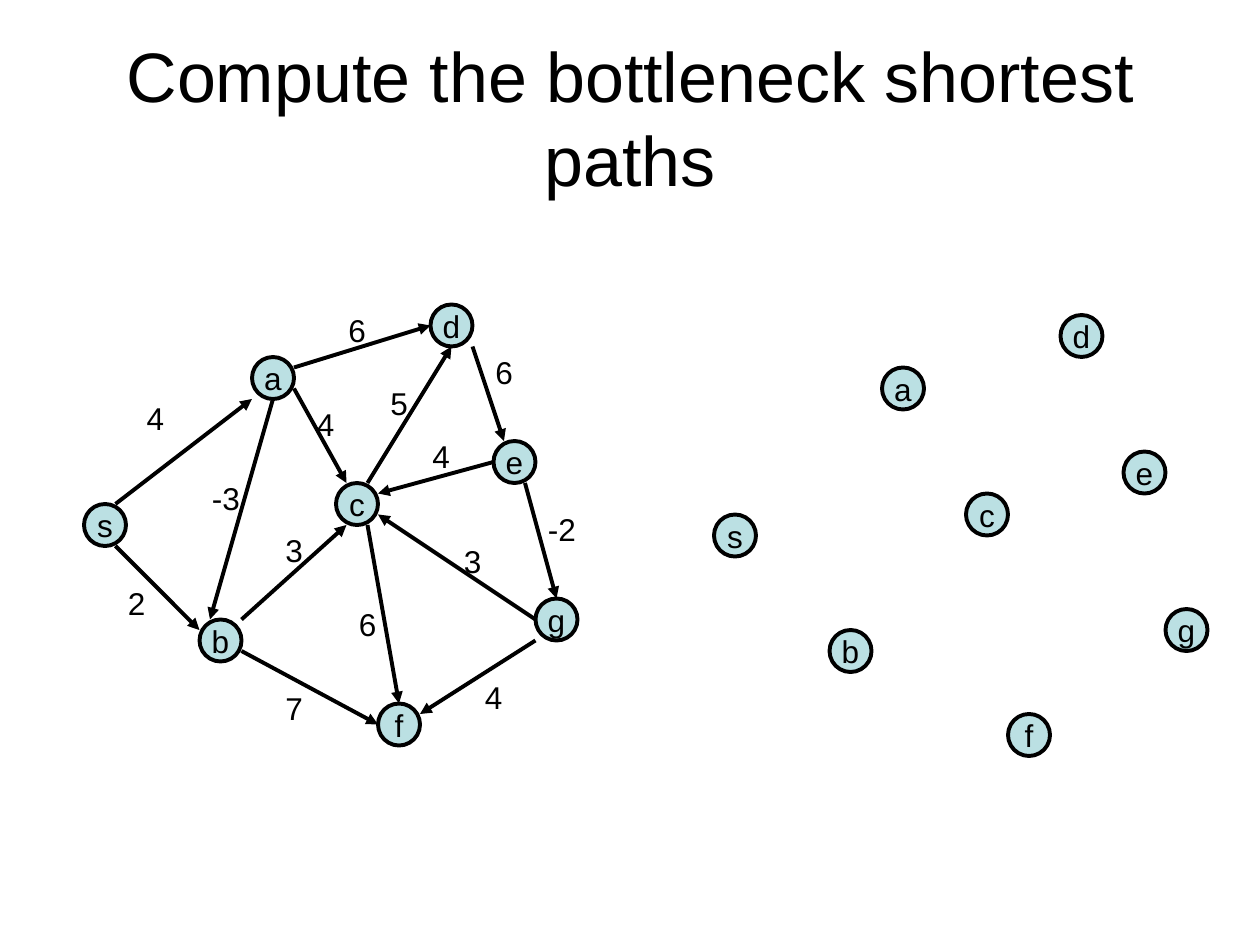
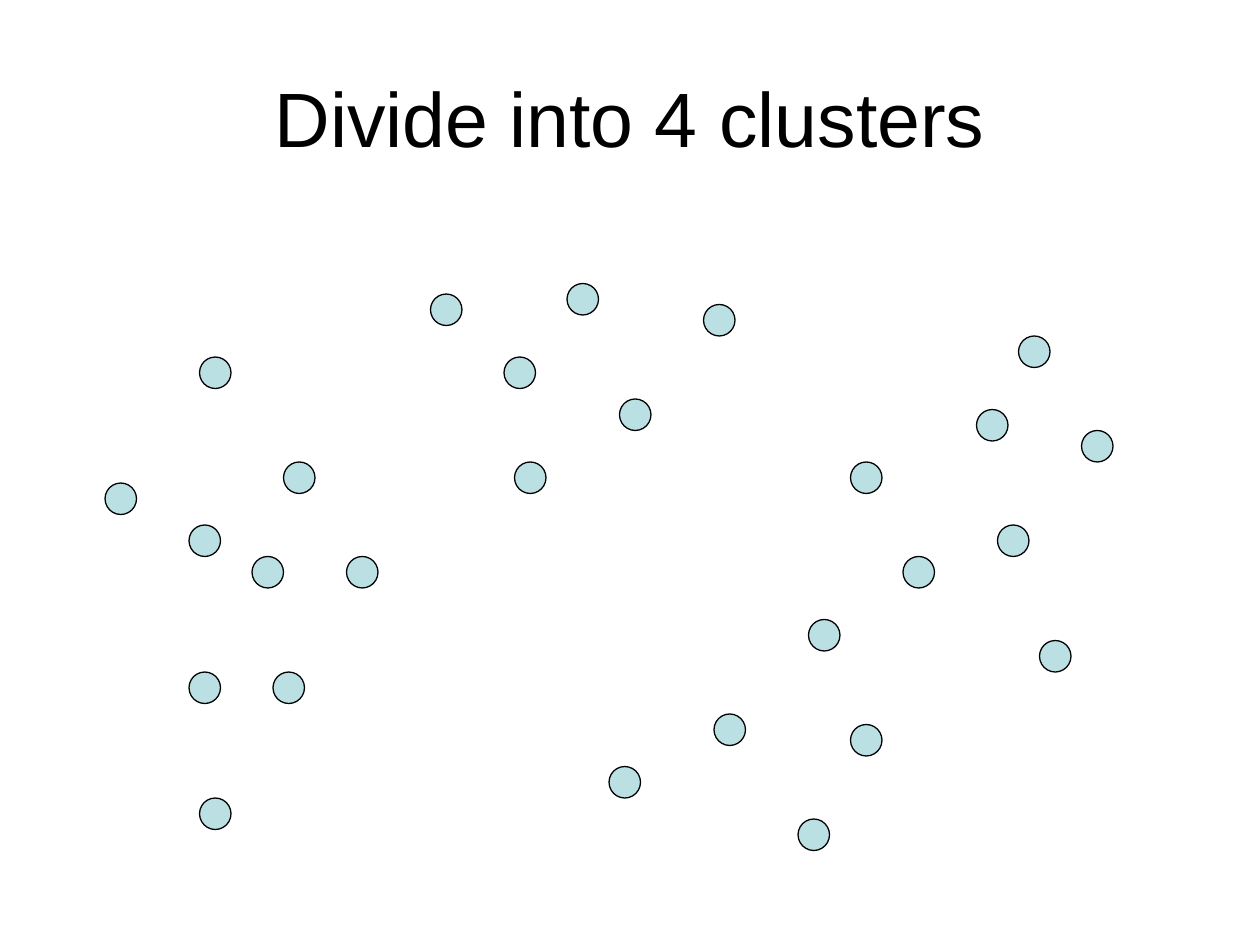
"""Build two exercise slides: bottleneck shortest paths and clustering."""
from lxml import etree
from pptx import Presentation
from pptx.dml.color import RGBColor
from pptx.enum.shapes import MSO_CONNECTOR, MSO_SHAPE
from pptx.enum.text import MSO_ANCHOR, PP_ALIGN
from pptx.oxml.ns import qn
from pptx.util import Cm, Pt

OVAL = MSO_SHAPE.OVAL
STRAIGHT = MSO_CONNECTOR.STRAIGHT
CENTER, LEFT = PP_ALIGN.CENTER, PP_ALIGN.LEFT
MIDDLE, TOP = MSO_ANCHOR.MIDDLE, MSO_ANCHOR.TOP

COLORS = {"ink": "000000", "node": "BBE0E3"}
FONT = "Arial"
WIDTH, HEIGHT = 120, 90
NODE_SIZE, DOT_SIZE = 4, 3
COPY_SHIFT = (60, 1)
TITLE_BOX = (6, 3.6, 108, 15)

GRAPH_TITLE = ("Compute the bottleneck shortest paths", 40)
NODES = {
    "a": (24, 34), "b": (19, 59), "c": (32, 46), "s": (8, 48),
    "e": (47, 42), "g": (51, 57), "f": (36, 67), "d": (41, 29),
}
# Each edge: start node and offset, end node and offset, weight, label corner.
EDGES = [
    ("s", (3, 0), "a", (0, 4), "4", (12.8, 37.4)),
    ("a", (4, 1), "d", (0, 2), "6", (32, 29)),
    ("a", (4, 3), "c", (1, 0), "4", (29, 38)),
    ("b", (4, 0), "c", (1, 4), "3", (26, 50)),
    ("s", (3, 4), "b", (0, 1), "2", (11, 55)),
    ("a", (2, 4), "b", (1, 0), "-3", (19, 45)),
    ("b", (4, 3), "f", (0, 2), "7", (26, 65)),
    ("c", (3, 4), "f", (2, 0), "6", (33, 57)),
    ("c", (3, 0), "d", (2, 4), "5", (36, 36)),
    ("e", (0, 2), "c", (4, 1), "4", (40, 41)),
    ("d", (4, 4), "e", (1, 0), "6", (46, 33)),
    ("e", (3, 4), "g", (2, 0), "-2", (51, 48)),
    ("g", (0, 2), "c", (4, 3), "3", (43, 51)),
    ("g", (0, 4), "f", (4, 1), "4", (45, 64)),
]

CLUSTER_TITLE = ("Divide into 4 clusters", 44)
DOTS = [
    (18, 50), (27, 44), (33, 53), (54, 27), (67, 29), (97, 32), (68, 68),
    (81, 44), (58, 73), (19, 76), (10, 46), (86, 53), (49, 44), (77, 59),
    (18, 64), (19, 34), (59, 38), (103, 41), (99, 61), (48, 34), (81, 69),
    (24, 53), (26, 64), (41, 28), (76, 78), (93, 39), (95, 50),
]


def grid(*units):
    return [Cm(unit * 25.4 / WIDTH) for unit in units]


def shift(point, offset):
    return point[0] + offset[0], point[1] + offset[1]


def color(name):
    return RGBColor.from_string(COLORS[name])


def apply(target, values):
    for name, value in values.items():
        setattr(target, name, value)


def write(shape, text, size=18, align=CENTER, anchor=MIDDLE, wrap=False):
    frame = shape.text_frame
    apply(frame, {"word_wrap": wrap, "vertical_anchor": anchor})
    para = frame.paragraphs[0]
    para.alignment = align
    span = para.add_run()
    span.text = text
    apply(span.font, {"name": FONT, "size": Pt(size)})
    span.font.color.rgb = color("ink")


def add_title(page, text, size):
    write(page.shapes.add_textbox(*grid(*TITLE_BOX)), text, size, wrap=True)


def set_line(shape, width):
    shape.line.color.rgb = color("ink")
    shape.line.width = Pt(width)


def add_circle(page, corner, size, line_width):
    circle = page.shapes.add_shape(OVAL, *grid(*corner, size, size))
    circle.shadow.inherit = False
    circle.fill.solid()
    circle.fill.fore_color.rgb = color("node")
    set_line(circle, line_width)
    return circle


def add_nodes(page, offset=(0, 0)):
    for name, corner in NODES.items():
        write(add_circle(page, shift(corner, offset), NODE_SIZE, 2.25), name)


def add_arrow(page, start, end):
    arrow = page.shapes.add_connector(STRAIGHT, *grid(*start, *end))
    set_line(arrow, 2.25)
    etree.SubElement(arrow.line._get_or_add_ln(), qn("a:tailEnd"), type="triangle")
    etree.SubElement(arrow._element.spPr, qn("a:effectLst"))


def build_graph_page(page):
    add_title(page, *GRAPH_TITLE)
    add_nodes(page)
    for source, leave, target, enter, _, _ in EDGES:
        add_arrow(page, shift(NODES[source], leave), shift(NODES[target], enter))
    for *_, weight, corner in EDGES:
        box = page.shapes.add_textbox(*grid(*corner, 3.1 + len(weight), 4.8))
        write(box, weight, align=LEFT, anchor=TOP)
    add_nodes(page, COPY_SHIFT)


def build_cluster_page(page):
    add_title(page, *CLUSTER_TITLE)
    for corner in DOTS:
        add_circle(page, corner, DOT_SIZE, 0.75)


def main():
    deck = Presentation()
    deck.slide_width, deck.slide_height = grid(WIDTH, HEIGHT)
    blank = deck.slide_layouts[6]
    for build in (build_graph_page, build_cluster_page):
        build(deck.slides.add_slide(blank))
    deck.save("out.pptx")


if __name__ == "__main__":
    main()
